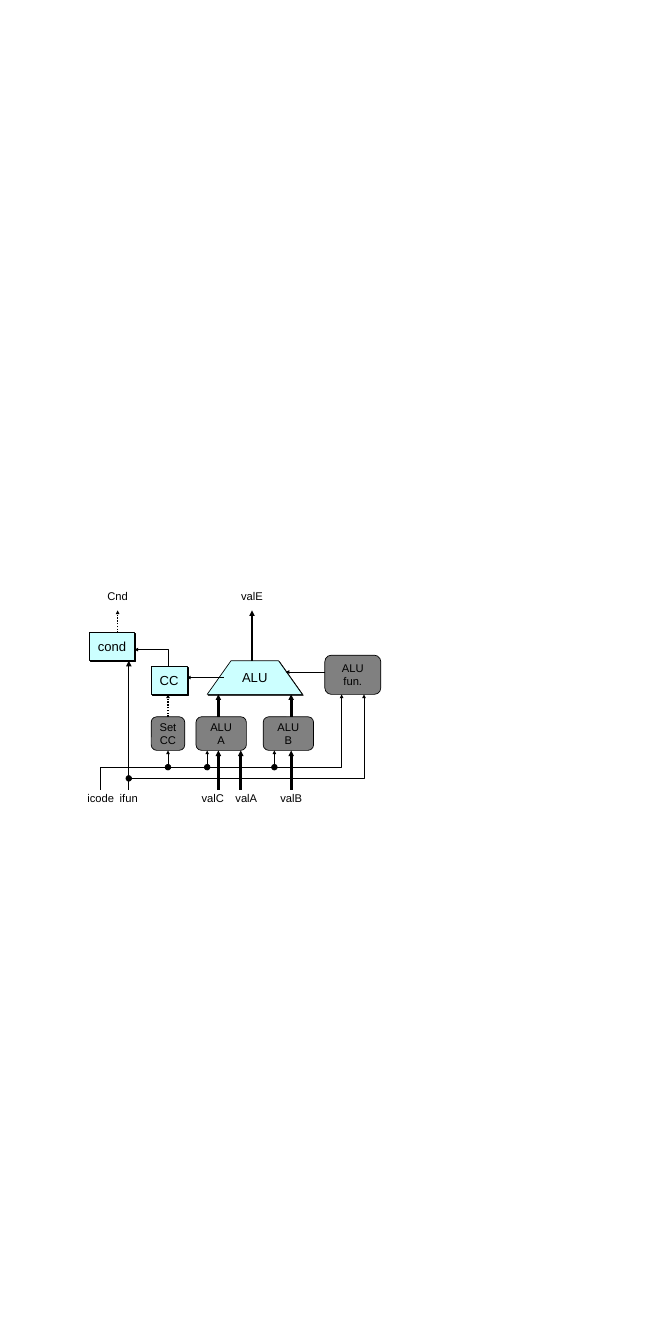
"""Draw the execute stage of a processor as a block diagram on a grid."""
from dataclasses import dataclass

from lxml.etree import SubElement
from pptx import Presentation
from pptx.dml.color import RGBColor
from pptx.enum.dml import MSO_LINE
from pptx.enum.shapes import MSO_CONNECTOR, MSO_SHAPE
from pptx.enum.text import MSO_ANCHOR, PP_ALIGN
from pptx.oxml.ns import qn
from pptx.shapes.autoshape import Shape
from pptx.shapes.shapetree import SlideShapes
from pptx.util import Emu, Inches, Pt

SLIDE_WIDTH, SLIDE_HEIGHT = Inches(10), Inches(20)
COLUMNS, ROWS = 120, 240
FONT = "Arial"
COLORS = {"ink": "000000", "hardware": "CCFFFF", "logic": "808080"}
THIN, NORMAL, DOTTED, BUS = 0.75, 1, 1.5, 3

Point = tuple[float, float]


@dataclass(frozen=True)
class Block:
    text: str
    column: float
    row: float
    columns: float
    rows: float
    fill: str


@dataclass(frozen=True)
class Label:
    text: str
    column: float
    row: float


@dataclass(frozen=True)
class Wire:
    points: tuple[Point, ...]
    weight: float = NORMAL
    head: str = "sm"


BLOCKS = [
    Block("cond", 16, 113, 8, 5, "hardware"),
    Block("CC", 27, 119, 6.4, 5, "hardware"),
    Block("Set\nCC", 27, 128, 6, 6, "logic"),
    Block("ALU\nA", 35, 128, 9, 6, "logic"),
    Block("ALU\nB", 47, 128, 9, 6, "logic"),
    Block("ALU\nfun.", 58, 117, 10, 7, "logic"),
]
ALU_OUTLINE = ((37, 124), (41.25, 118), (49.75, 118), (54, 124))
OUTPUT_ROW, INPUT_ROW = 104, 140
LABELS = [
    Label("Cnd", 18, OUTPUT_ROW),
    Label("valE", 42, OUTPUT_ROW),
    Label("icode", 15, INPUT_ROW),
    Label("ifun", 20, INPUT_ROW),
    Label("valC", 35, INPUT_ROW),
    Label("valA", 41, INPUT_ROW),
    Label("valB", 49, INPUT_ROW),
]
WIRES = [
    Wire(((40, 121), (33.4, 121)), THIN),
    Wire(((58, 120), (51, 120)), THIN),
    Wire(((45, 118), (45, 109)), BUS),
    Wire(((39, 128), (39, 124)), BUS),
    Wire(((52, 128), (52, 124)), BUS),
    *(Wire(((column, 141), (column, 134)), BUS) for column in (39, 43, 52)),
    Wire(((21, 113), (21, 109)), DOTTED),
    Wire(((30, 128), (30, 124)), DOTTED),
    Wire(((18, 141), (18, 137)), head="none"),
    Wire(((23, 141), (23, 118)), head="med"),
    *(Wire(((column, 137), (column, 134))) for column in (30, 37, 49)),
    Wire(((18, 137), (61, 137), (61, 124))),
    Wire(((23, 139), (65, 139), (65, 124))),
    Wire(((30, 119), (30, 116), (24, 116))),
]
JUNCTIONS = [(30, 137), (37, 137), (49, 137), (23, 139)]


def across(columns: float) -> Emu:
    return Emu(round(SLIDE_WIDTH * columns / COLUMNS))


def down(rows: float) -> Emu:
    return Emu(round(SLIDE_HEIGHT * rows / ROWS))


def color(name: str) -> RGBColor:
    return RGBColor.from_string(COLORS[name])


def add_outline(shapes: SlideShapes, points: tuple[Point, ...], close: bool) -> Shape:
    corners = [(across(column), down(row)) for column, row in points]
    builder = shapes.build_freeform(*corners[0])
    builder.add_line_segments(corners[1:], close=close)
    return builder.convert_to_shape()


def add_preset(shapes: SlideShapes, kind: MSO_SHAPE, column: float, row: float,
               columns: float, rows: float) -> Shape:
    return shapes.add_shape(kind, across(column), down(row), across(columns), down(rows))


def paint(shape: Shape, fill: str) -> None:
    shape.shadow.inherit = False
    shape.fill.solid()
    shape.fill.fore_color.rgb = color(fill)
    shape.line.color.rgb = color("ink")
    shape.line.width = Pt(THIN)


def cast_shadow(shape: Shape) -> None:
    effects = shape.element.spPr.find(qn("a:effectLst"))
    shadow = SubElement(effects, qn("a:outerShdw"), dist=str(Pt(1.4)), dir="2700000",
                        algn="ctr", rotWithShape="0")
    SubElement(shadow, qn("a:srgbClr"), val=COLORS["ink"])


def write(shape: Shape, text: str, size: int) -> None:
    frame = shape.text_frame
    frame.text = text
    frame.word_wrap = False
    frame.vertical_anchor = MSO_ANCHOR.MIDDLE
    for paragraph in frame.paragraphs:
        paragraph.alignment = PP_ALIGN.CENTER
        for run in paragraph.runs:
            run.font.name = FONT
            run.font.size = Pt(size)
            run.font.color.rgb = color("ink")


def draw_block(shapes: SlideShapes, block: Block) -> None:
    is_hardware = block.fill == "hardware"
    kind = MSO_SHAPE.RECTANGLE if is_hardware else MSO_SHAPE.ROUNDED_RECTANGLE
    shape = add_preset(shapes, kind, block.column, block.row, block.columns, block.rows)
    paint(shape, block.fill)
    if is_hardware:
        cast_shadow(shape)
    write(shape, block.text, 14 if is_hardware else 12)


def draw_alu(shapes: SlideShapes) -> None:
    shape = add_outline(shapes, ALU_OUTLINE, close=True)
    paint(shape, "hardware")
    cast_shadow(shape)
    write(shape, "ALU", 14)


def draw_label(shapes: SlideShapes, label: Label) -> None:
    shape = add_preset(shapes, MSO_SHAPE.OVAL, label.column, label.row, 6, 5)
    shape.shadow.inherit = False
    shape.fill.background()
    shape.line.fill.background()
    write(shape, label.text, 12)


def draw_wire(shapes: SlideShapes, wire: Wire) -> None:
    if len(wire.points) == 2:
        (start, top), (end, bottom) = wire.points
        line = shapes.add_connector(MSO_CONNECTOR.STRAIGHT, across(start), down(top),
                                    across(end), down(bottom))
    else:
        line = add_outline(shapes, wire.points, close=False)
        line.fill.background()
    line.line.color.rgb = color("ink")
    line.line.width = Pt(wire.weight)
    if wire.weight == DOTTED:
        line.line.dash_style = MSO_LINE.ROUND_DOT
    properties = line.element.spPr
    if wire.head != "none":
        SubElement(properties.find(qn("a:ln")), qn("a:tailEnd"), type="triangle",
                   w=wire.head, len=wire.head)
    SubElement(properties, qn("a:effectLst"))


def draw_junction(shapes: SlideShapes, center: Point) -> None:
    column, row = center
    paint(add_preset(shapes, MSO_SHAPE.OVAL, column - 0.5, row - 0.5, 1, 1), "ink")


def main() -> None:
    presentation = Presentation()
    presentation.slide_width, presentation.slide_height = SLIDE_WIDTH, SLIDE_HEIGHT
    shapes = presentation.slides.add_slide(presentation.slide_layouts[6]).shapes
    for block in BLOCKS:
        draw_block(shapes, block)
    draw_alu(shapes)
    for label in LABELS:
        draw_label(shapes, label)
    for wire in WIRES:
        draw_wire(shapes, wire)
    for center in JUNCTIONS:
        draw_junction(shapes, center)
    presentation.save("out.pptx")


if __name__ == "__main__":
    main()
